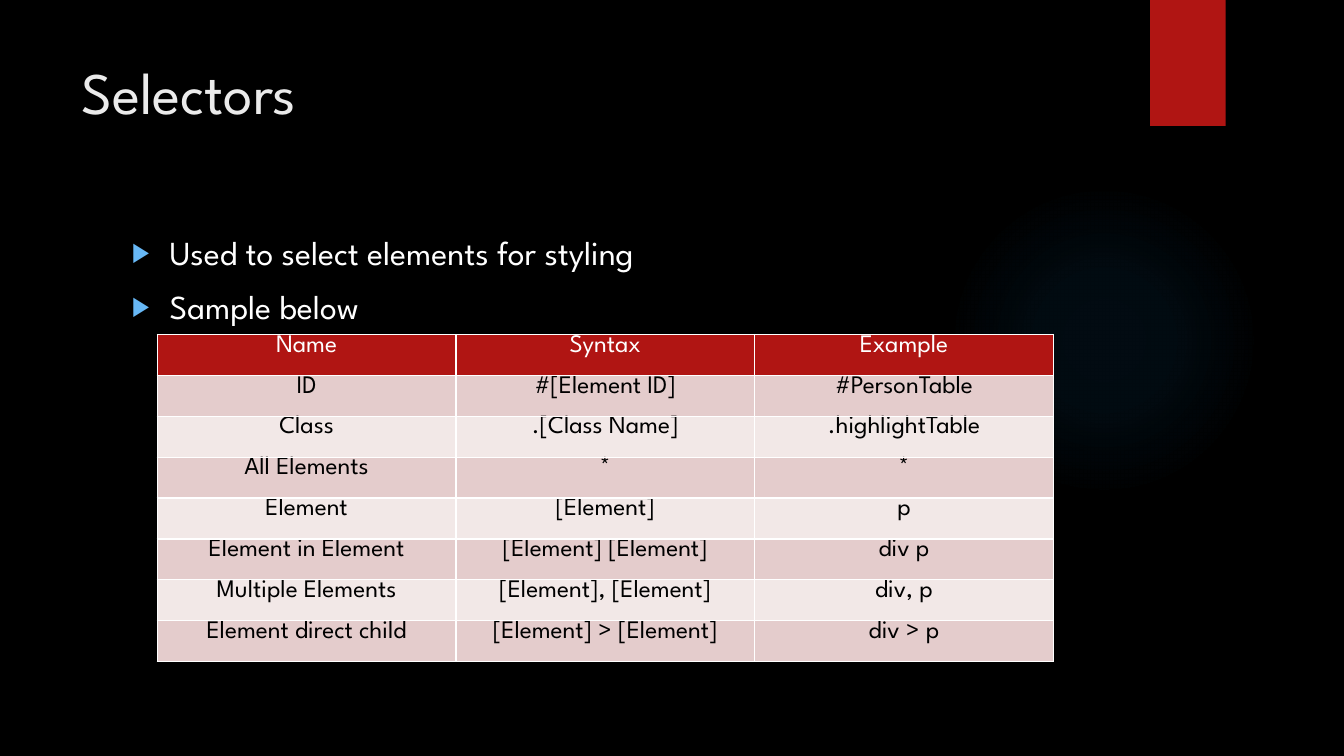
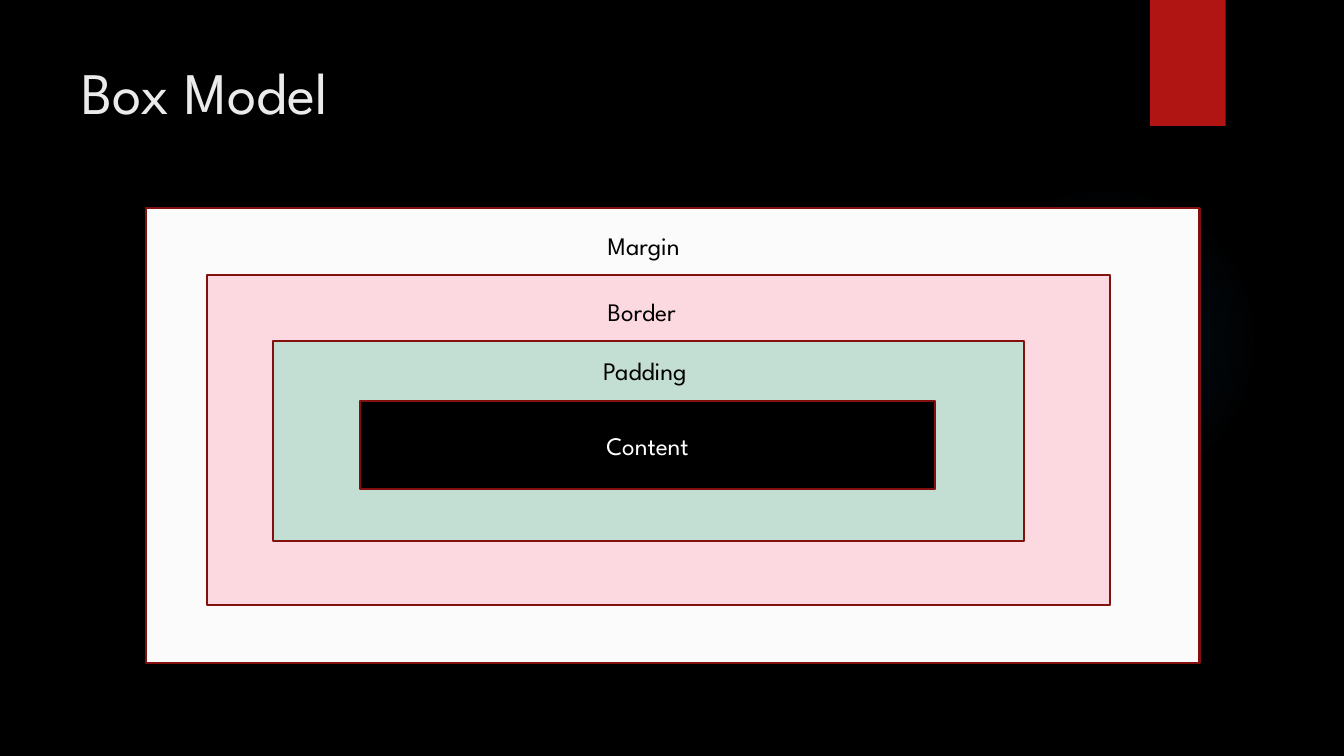
from lxml.etree import SubElement
from pptx import Presentation
from pptx.dml.color import RGBColor
from pptx.enum.shapes import MSO_SHAPE
from pptx.enum.text import MSO_ANCHOR, PP_ALIGN
from pptx.oxml import parse_xml
from pptx.oxml.ns import nsdecls, qn
from pptx.util import Pt

FONT = "League Spartan"
BLACK, WHITE, RED, DARK_RED = "000000", "FFFFFF", "B01513", "82100E"
TITLE_COLOR, BULLET_COLOR, GLOW_COLOR = "EBEBEB", "67B8F6", "1C95F2"
BANDS = ("F2E8E7", "E4CCCC")
GLOW_STOPS = ((0, 7), (36, 6), (69, 0))


def color(value):
    return RGBColor.from_string(value)


def write(paragraph, text, size=18, fill=BLACK, align=PP_ALIGN.LEFT):
    paragraph.alignment = align
    run = paragraph.add_run()
    run.text = text
    run.font.name = FONT
    run.font.size = Pt(size)
    run.font.color.rgb = color(fill)


class Deck:
    def __init__(self):
        self.presentation = Presentation()
        self.presentation.slide_width = Pt(960)
        self.presentation.slide_height = Pt(540)
        self.slide = None

    def add_slide(self, title):
        layout = self.presentation.slide_layouts[6]
        self.slide = self.presentation.slides.add_slide(layout)
        background = self.slide.background.fill
        background.solid()
        background.fore_color.rgb = color(BLACK)
        self.glow(677.5, 131.8, 221.8)
        self.shape(821.5, 0, 54, 90, RED)
        self.text(51.1, 36, 740.9, 110.2, title, size=42, fill=TITLE_COLOR)

    def shape(self, left, top, width, height, fill=None, line=None, kind=MSO_SHAPE.RECTANGLE):
        shape = self.slide.shapes.add_shape(kind, Pt(left), Pt(top), Pt(width), Pt(height))
        shape.shadow.inherit = False
        if fill:
            shape.fill.solid()
            shape.fill.fore_color.rgb = color(fill)
        else:
            shape.fill.background()
        if line:
            shape.line.color.rgb = color(line)
            shape.line.width = Pt(1.5)
        else:
            shape.line.fill.background()
        return shape

    def glow(self, left, top, size):
        shape = self.shape(left, top, size, size, kind=MSO_SHAPE.OVAL)
        stops = "".join(
            f'<a:gs pos="{position * 1000}"><a:srgbClr val="{GLOW_COLOR}">'
            f'<a:alpha val="{alpha * 1000}"/></a:srgbClr></a:gs>'
            for position, alpha in GLOW_STOPS
        )
        gradient = parse_xml(
            f'<a:gradFill {nsdecls("a")} rotWithShape="1"><a:gsLst>{stops}</a:gsLst>'
            '<a:path path="circle"><a:fillToRect l="50000" t="50000" r="50000" b="50000"/>'
            "</a:path></a:gradFill>"
        )
        properties = shape.element.spPr
        properties.replace(properties.find(qn("a:noFill")), gradient)

    def frame(self, left, top, width, height):
        box = self.slide.shapes.add_textbox(Pt(left), Pt(top), Pt(width), Pt(height))
        box.text_frame.word_wrap = True
        return box.text_frame

    def text(self, left, top, width, height, text, **style):
        write(self.frame(left, top, width, height).paragraphs[0], text, **style)

    def bullets(self, left, top, width, height, items):
        frame = self.frame(left, top, width, height)
        for index, item in enumerate(items):
            paragraph = frame.add_paragraph() if index else frame.paragraphs[0]
            paragraph.space_before = Pt(10)
            write(paragraph, item, size=24, fill=WHITE)
            properties = paragraph._p.get_or_add_pPr()
            properties.set("marL", str(Pt(27)))
            properties.set("indent", str(Pt(-27)))
            bullet_color = SubElement(properties, qn("a:buClr"))
            SubElement(bullet_color, qn("a:srgbClr"), val=BULLET_COLOR)
            SubElement(properties, qn("a:buSzPct"), val="80000")
            SubElement(properties, qn("a:buFont"), typeface="Arial")
            SubElement(properties, qn("a:buChar"), char="▶")

    def table(self, left, top, width, height, rows):
        shape = self.slide.shapes.add_table(
            len(rows), len(rows[0]), Pt(left), Pt(top), Pt(width), Pt(height)
        )
        table = shape.table
        table.first_row = table.horz_banding = False
        for row_index, row in enumerate(rows):
            for column_index, text in enumerate(row):
                cell = table.cell(row_index, column_index)
                cell.margin_top = cell.margin_bottom = 0
                cell.fill.solid()
                cell.fill.fore_color.rgb = color(BANDS[row_index % 2] if row_index else RED)
                self.cell_borders(cell)
                write(cell.text_frame.paragraphs[0], text,
                      fill=BLACK if row_index else WHITE, align=PP_ALIGN.CENTER)

    def cell_borders(self, cell):
        properties = cell._tc.get_or_add_tcPr()
        for index, side in enumerate("LRTB"):
            border = parse_xml(
                f'<a:ln{side} {nsdecls("a")} w="{Pt(1)}"><a:solidFill>'
                f'<a:srgbClr val="{WHITE}"/></a:solidFill></a:ln{side}>'
            )
            properties.insert(index, border)


deck = Deck()

deck.add_slide("Selectors")
deck.bullets(87.1, 162, 704.2, 330.5, ["Used to select elements for styling", "Sample below"])
deck.table(112.3, 239, 640.1, 233.6, [
    ("Name", "Syntax", "Example"),
    ("ID", "#[Element ID]", "#PersonTable"),
    ("Class", ".[Class Name]", ".highlightTable"),
    ("All Elements", "*", "*"),
    ("Element", "[Element]", "p"),
    ("Element in Element", "[Element] [Element]", "div p"),
    ("Multiple Elements", "[Element], [Element]", "div, p"),
    ("Element direct child", "[Element] > [Element]", "div > p"),
])

deck.add_slide("Box Model")
for left, top, width, height, fill in (
    (104.4, 148.3, 752.4, 325.4, "FBFBFB"),
    (147.6, 196.6, 645.1, 235.4, "FCD8E1"),
    (195.1, 243.4, 536.4, 143.3, "C3DED3"),
):
    deck.shape(left, top, width, height, fill, DARK_RED)
content = deck.shape(257, 286.2, 411.1, 63.4, BLACK, DARK_RED)
content.text_frame.vertical_anchor = MSO_ANCHOR.MIDDLE
write(content.text_frame.paragraphs[0], "Content", fill=WHITE, align=PP_ALIGN.CENTER)
for label, left, top in (
    ("Margin", 427, 161.3),
    ("Border", 427, 208.1),
    ("Padding", 423.7, 250.6),
):
    deck.text(left, top, 90, 28.8, label)

deck.presentation.save("out.pptx")
